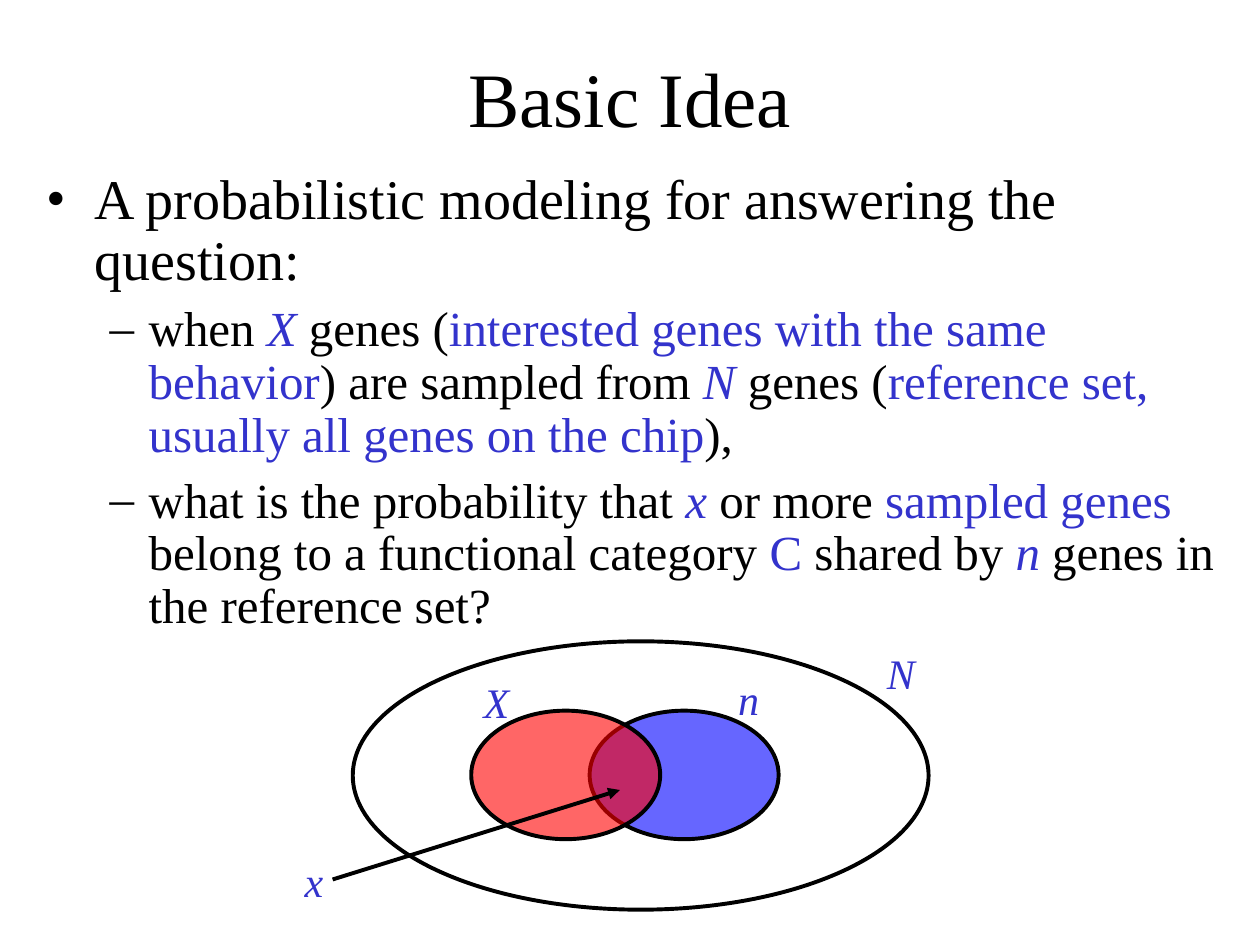
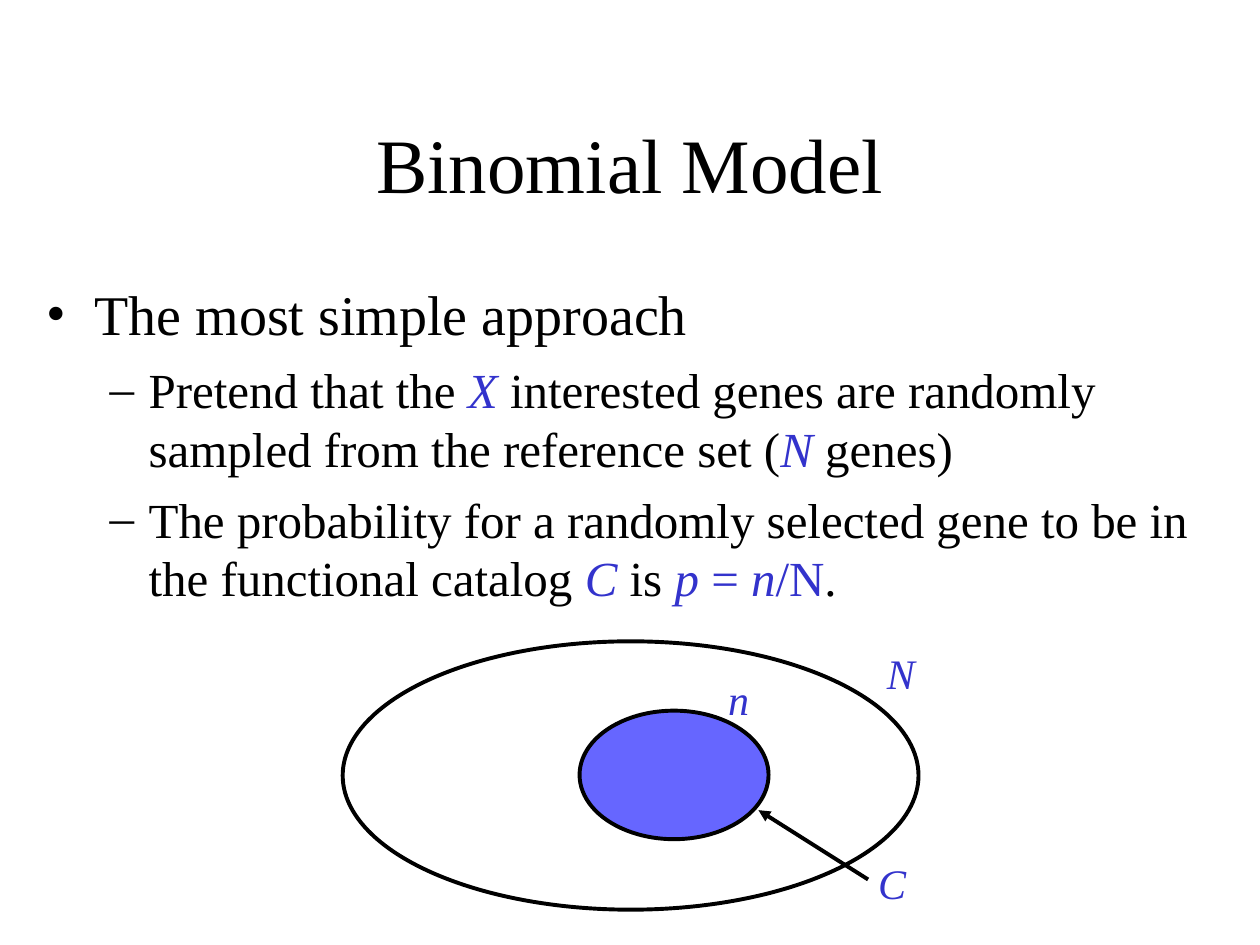
"""Build two slides that introduce the binomial model for gene set overlap."""
import dataclasses

import lxml.etree
import pptx
import pptx.dml.color
import pptx.enum.shapes
import pptx.enum.text
import pptx.oxml.ns
import pptx.util

Inches = pptx.util.Inches
Pt = pptx.util.Pt
qn = pptx.oxml.ns.qn


@dataclasses.dataclass(frozen=True)
class Theme:
    """Colours, font and sizes that the slides share."""
    font: str = "Times New Roman"
    text: str = "000000"
    accent: str = "3333CC"
    paper: str = "FFFFFF"
    category: str = "0000FF"
    sample: str = "FF0000"
    opacity: int = 60
    title_size: int = 44
    label_size: int = 24
    line_width: float = 2.25


THEME = Theme()
PLAIN, ACCENT, SYMBOL = "plain", "accent", "symbol"

LEVELS = (
    {"size": 32, "before": 8, "bullet": "•", "margin": 0.38, "indent": -0.38},
    {"size": 28, "before": 7, "bullet": "–", "margin": 0.81, "indent": -0.31},
)

REFERENCE_SIZE = (4.57, 2.13)
SUBSET_SIZE = (1.5, 1.02)
REFERENCE_TOP, SUBSET_TOP = 5.09, 5.64
LABEL_HEIGHT = 0.5

SLIDES = [
    {
        "title": "Basic Idea",
        "title_top": 0.14,
        "body_box": (0.27, 1.31, 9.53, 3.94),
        "line_spacing": 0.9,
        "body": [
            (0, [("A probabilistic modeling for answering the question:", PLAIN)]),
            (1, [("when ", PLAIN), ("X", SYMBOL), (" genes (", PLAIN),
                 ("interested genes with the same behavior", ACCENT),
                 (") are sampled from ", PLAIN), ("N", SYMBOL), (" genes (", PLAIN),
                 ("reference set, usually all genes on the chip", ACCENT),
                 ("),", PLAIN)]),
            (1, [("what is the probability that ", PLAIN), ("x", SYMBOL),
                 (" or more ", PLAIN), ("sampled genes", ACCENT),
                 (" belong to a functional category ", PLAIN), ("C", ACCENT),
                 (" shared by ", PLAIN), ("n", SYMBOL),
                 (" genes in the reference set?", PLAIN)]),
        ],
        "reference_left": 2.8,
        "subsets": [(4.68, THEME.category), (3.74, THEME.sample)],
        "arrow": ((2.64, 6.98), (4.92, 6.27)),
        "labels": [("N", 6.94, 5.09, 0.42), ("n", 5.76, 5.3, 0.36),
                   ("x", 2.32, 6.74, 0.35), ("X", 3.74, 5.32, 0.4)],
    },
    {
        "title": "Binomial Model",
        "title_top": 0.67,
        "body_box": (0.27, 2.17, 9.45, 4.5),
        "line_spacing": 1.0,
        "body": [
            (0, [("The most simple approach", PLAIN)]),
            (1, [("Pretend that the ", PLAIN), ("X", SYMBOL),
                 (" interested genes are randomly sampled from the reference set (", PLAIN),
                 ("N", SYMBOL), (" genes)", PLAIN)]),
            (1, [("The probability for a randomly selected gene to be in "
                  "the functional catalog ", PLAIN),
                 ("C", SYMBOL), (" is ", PLAIN), ("p ", SYMBOL), ("=", ACCENT),
                 (" n", SYMBOL), ("/N", ACCENT), (".", PLAIN)]),
        ],
        "reference_left": 2.72,
        "subsets": [(4.6, THEME.category)],
        "arrow": ((6.89, 6.98), (6.02, 6.43)),
        "labels": [("n", 5.68, 5.3, 0.36), ("C", 6.87, 6.76, 0.42),
                   ("N", 6.94, 5.09, 0.42)],
    },
]


def rgb(colour):
    """Turn a hex string into a colour."""
    return pptx.dml.color.RGBColor.from_string(colour)


def place(shape, left, top, width, height):
    """Move and size a placeholder."""
    shape.left, shape.top = Inches(left), Inches(top)
    shape.width, shape.height = Inches(width), Inches(height)


def fill_translucent(shape, colour):
    """Fill a shape with the colour at the theme's opacity."""
    shape.fill.solid()
    shape.fill.fore_color.rgb = rgb(colour)
    colour_element = shape.fill._xPr.find(qn("a:solidFill"))[0]
    alpha = lxml.etree.SubElement(colour_element, qn("a:alpha"))
    alpha.set("val", str(THEME.opacity * 1000))


def style_line(line):
    """Give an outline or connector the shared stroke."""
    line.color.rgb = rgb(THEME.text)
    line.width = Pt(THEME.line_width)


def style_run(run, size, style=PLAIN):
    """Set the font of a run by its role."""
    run.font.name = THEME.font
    run.font.size = Pt(size)
    run.font.italic = style == SYMBOL
    run.font.color.rgb = rgb(THEME.text if style == PLAIN else THEME.accent)


def add_bullet(paragraph, level):
    """Set the indent and bullet of a paragraph."""
    properties = paragraph._p.get_or_add_pPr()
    properties.set("marL", str(Inches(level["margin"])))
    properties.set("indent", str(Inches(level["indent"])))
    colour = lxml.etree.SubElement(properties, qn("a:buClr"))
    lxml.etree.SubElement(colour, qn("a:srgbClr")).set("val", THEME.text)
    lxml.etree.SubElement(properties, qn("a:buFont")).set("typeface", THEME.font)
    lxml.etree.SubElement(properties, qn("a:buChar")).set("char", level["bullet"])


def write_title(title, text, top):
    """Fill and format the title placeholder."""
    place(title, 0.75, top, 8.5, 1.25)
    fill_translucent(title, THEME.paper)
    frame = title.text_frame
    frame.text = text
    frame.auto_size = pptx.enum.text.MSO_AUTO_SIZE.NONE
    frame.vertical_anchor = pptx.enum.text.MSO_ANCHOR.MIDDLE
    frame.paragraphs[0].alignment = pptx.enum.text.PP_ALIGN.CENTER
    style_run(frame.paragraphs[0].runs[0], THEME.title_size)


def write_body(body, content):
    """Fill and format the body placeholder."""
    place(body, *content["body_box"])
    frame = body.text_frame
    frame.auto_size = pptx.enum.text.MSO_AUTO_SIZE.NONE
    for index, (depth, pieces) in enumerate(content["body"]):
        paragraph = frame.add_paragraph() if index else frame.paragraphs[0]
        level = LEVELS[depth]
        paragraph.level = depth
        paragraph.line_spacing = content["line_spacing"]
        paragraph.space_before = Pt(level["before"])
        add_bullet(paragraph, level)
        for text, style in pieces:
            run = paragraph.add_run()
            run.text = text
            style_run(run, level["size"], style)


def add_set(slide, left, top, size, colour=None):
    """Draw one set of the Venn diagram."""
    ellipse = slide.shapes.add_shape(
        pptx.enum.shapes.MSO_SHAPE.OVAL,
        Inches(left), Inches(top), *map(Inches, size))
    ellipse.shadow.inherit = False
    style_line(ellipse.line)
    if colour:
        fill_translucent(ellipse, colour)
    else:
        ellipse.fill.background()


def add_arrow(slide, start, end):
    """Draw an arrow that points at its end."""
    arrow = slide.shapes.add_connector(
        pptx.enum.shapes.MSO_CONNECTOR.STRAIGHT, *map(Inches, start + end))
    style_line(arrow.line)
    head = lxml.etree.SubElement(arrow.line._get_or_add_ln(), qn("a:tailEnd"))
    head.set("type", "triangle")
    lxml.etree.SubElement(arrow._element.spPr, qn("a:effectLst"))


def add_label(slide, text, left, top, width):
    """Write the symbol of a set."""
    label = slide.shapes.add_textbox(*map(Inches, (left, top, width, LABEL_HEIGHT)))
    frame = label.text_frame
    frame.text = text
    frame.word_wrap = False
    frame.auto_size = pptx.enum.text.MSO_AUTO_SIZE.SHAPE_TO_FIT_TEXT
    style_run(frame.paragraphs[0].runs[0], THEME.label_size, SYMBOL)


def build_slide(presentation, content):
    """Add one slide with its title, list and Venn diagram."""
    slide = presentation.slides.add_slide(presentation.slide_layouts[1])
    slide.background.fill.solid()
    slide.background.fill.fore_color.rgb = rgb(THEME.paper)
    write_title(slide.shapes.title, content["title"], content["title_top"])
    write_body(slide.placeholders[1], content)
    add_set(slide, content["reference_left"], REFERENCE_TOP, REFERENCE_SIZE)
    for left, colour in content["subsets"]:
        add_set(slide, left, SUBSET_TOP, SUBSET_SIZE, colour)
    add_arrow(slide, *content["arrow"])
    for label in content["labels"]:
        add_label(slide, *label)


def main():
    """Build and save the presentation."""
    presentation = pptx.Presentation()
    presentation.slide_width, presentation.slide_height = Inches(10), Inches(7.5)
    for content in SLIDES:
        build_slide(presentation, content)
    presentation.save("out.pptx")


if __name__ == "__main__":
    main()
